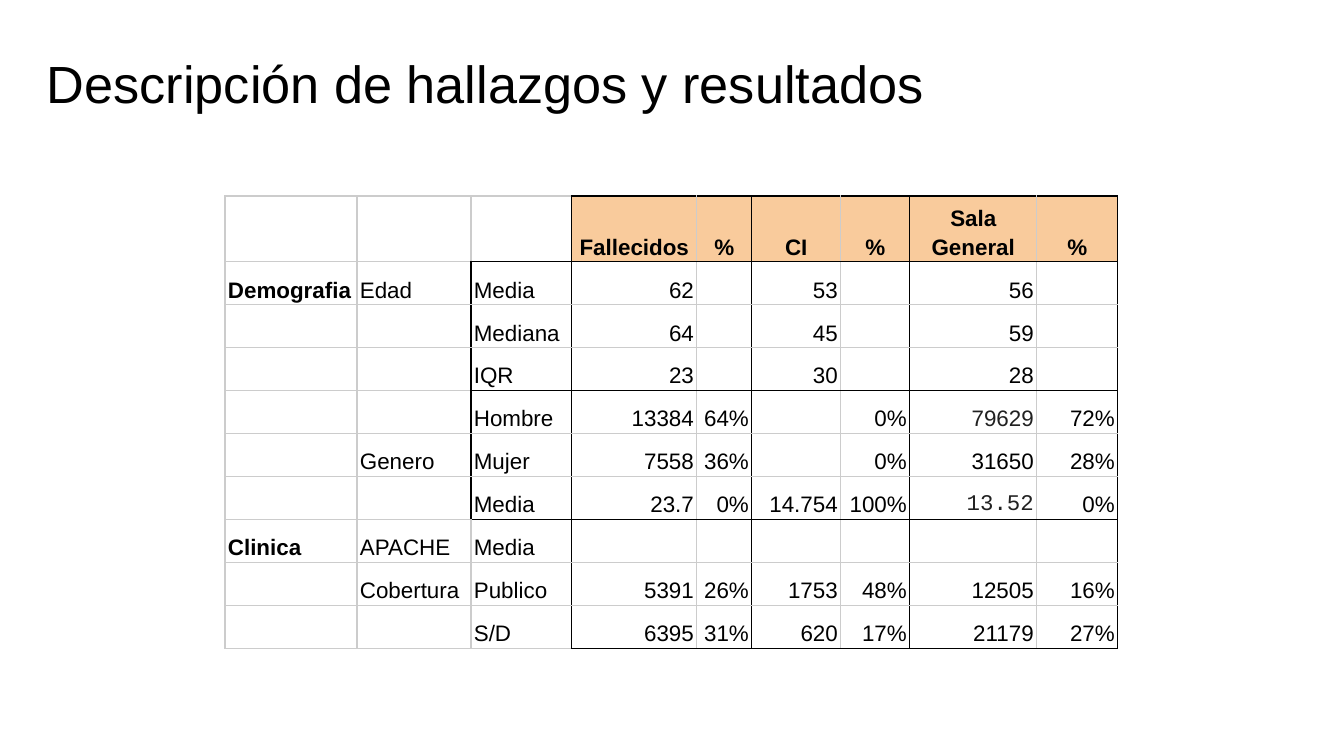
from pptx import Presentation
from pptx import util as u
from pptx.dml.color import RGBColor
from pptx.enum import text
from pptx.oxml import parse_xml
from pptx.oxml.ns import nsdecls

PX = 914400 / 134.4
HUES = {"ink": "000000", "grid": "CCCCCC", "head": "F9CB9C", "soft": "212121"}
LEFT, MID, RIGHT = text.PP_ALIGN.LEFT, text.PP_ALIGN.CENTER, text.PP_ALIGN.RIGHT

COLS = [132, 114, 101, 125, 55, 89, 69, 127, 81]
HEAD, ROW = 64, 43
DATA = [
    ["", "", "", "Fallecidos", "%", "CI", "%", "Sala General", "%"],
    ["Demografia", "Edad", "Media", "62", "", "53", "", "56", ""],
    ["", "", "Mediana", "64", "", "45", "", "59", ""],
    ["", "", "IQR", "23", "", "30", "", "28", ""],
    ["", "", "Hombre", "13384", "64%", "", "0%", "79629", "72%"],
    ["", "Genero", "Mujer", "7558", "36%", "", "0%", "31650", "28%"],
    ["", "", "Media", "23.7", "0%", "14.754", "100%", "13.52", "0%"],
    ["Clinica", "APACHE", "Media", "", "", "", "", "", ""],
    ["", "Cobertura", "Publico", "5391", "26%", "1753", "48%", "12505", "16%"],
    ["", "", "S/D", "6395", "31%", "620", "17%", "21179", "27%"],
]
# First column that each dark rule reaches, by the row it lies above
RULES = {0: 3, 1: 2, 4: 2, 7: 2, 10: 3}
SOFT = {(4, 7): "Arial", (6, 7): "Courier New"}


def px(n):
    return u.Emu(round(n * PX))


def level(row, col):
    """Hue of the line above a cell."""
    return "ink" if col >= RULES.get(row, len(COLS)) else "grid"


def upright(row, col):
    """Hue of the line left of a cell."""
    dark = col in (3, 5, 7, 9) or (col == 2 and 1 <= row <= 6)
    return "ink" if dark else "grid"


class Deck:
    def __init__(self, wide, high):
        self.file = Presentation()
        self.file.slide_width, self.file.slide_height = px(wide), px(high)
        self.slide = self.file.slides.add_slide(self.file.slide_layouts[6])

    def style(self, para, size, hue="ink", face="Arial", bold=False):
        font = para.font
        font.size, font.name, font.bold = u.Pt(size), face, bold
        font.color.rgb = RGBColor.from_string(HUES[hue])

    def title(self, words, x, y, w, h):
        frame = self.slide.shapes.add_textbox(px(x), px(y), px(w), px(h)).text_frame
        frame.word_wrap = True
        frame.margin_left = frame.margin_right = px(13)
        frame.margin_top, frame.margin_bottom = px(17), px(9)
        frame.text = words
        self.style(frame.paragraphs[0], 28)

    def edge(self, cell, side, hue):
        cell._tc.get_or_add_tcPr().append(parse_xml(
            f'<a:ln{side} {nsdecls("a")} w="9525"><a:solidFill>'
            f'<a:srgbClr val="{HUES[hue]}"/></a:solidFill></a:ln{side}>'))

    def cell(self, cell, row, col, words):
        cell.margin_left = cell.margin_right = px(3)
        cell.margin_top = cell.margin_bottom = px(2)
        cell.vertical_anchor = text.MSO_ANCHOR.BOTTOM
        self.edge(cell, "L", upright(row, col))
        self.edge(cell, "R", upright(row, col + 1))
        self.edge(cell, "T", level(row, col))
        self.edge(cell, "B", level(row + 1, col))
        if row == 0 and col > 2:
            cell.fill.solid()
            cell.fill.fore_color.rgb = RGBColor.from_string(HUES["head"])
        else:
            cell.fill.background()
        cell.text = words
        para = cell.text_frame.paragraphs[0]
        para.line_spacing = 1.15 if words else 1.0
        para.alignment = LEFT if col < 3 else MID if row == 0 else RIGHT
        spot = (row, col)
        self.style(para, 12, "soft" if spot in SOFT else "ink",
                   SOFT.get(spot, "Arial"), row == 0 or col == 0)

    def table(self, x, y):
        high = [HEAD] + [ROW] * (len(DATA) - 1)
        grid = self.slide.shapes.add_table(
            len(DATA), len(COLS), px(x), px(y), px(sum(COLS)), px(sum(high))).table
        grid.first_row = grid.horz_banding = False
        for col, wide in zip(grid.columns, COLS):
            col.width = px(wide)
        for row, tall in zip(grid.rows, high):
            row.height = px(tall)
        for r, line in enumerate(DATA):
            for c, words in enumerate(line):
                self.cell(grid.cell(r, c), r, c, words)


deck = Deck(1344, 756)
deck.title("Descripción de hallazgos y resultados", 34, 34, 1253, 85)
deck.table(225, 196)
deck.file.save("out.pptx")
